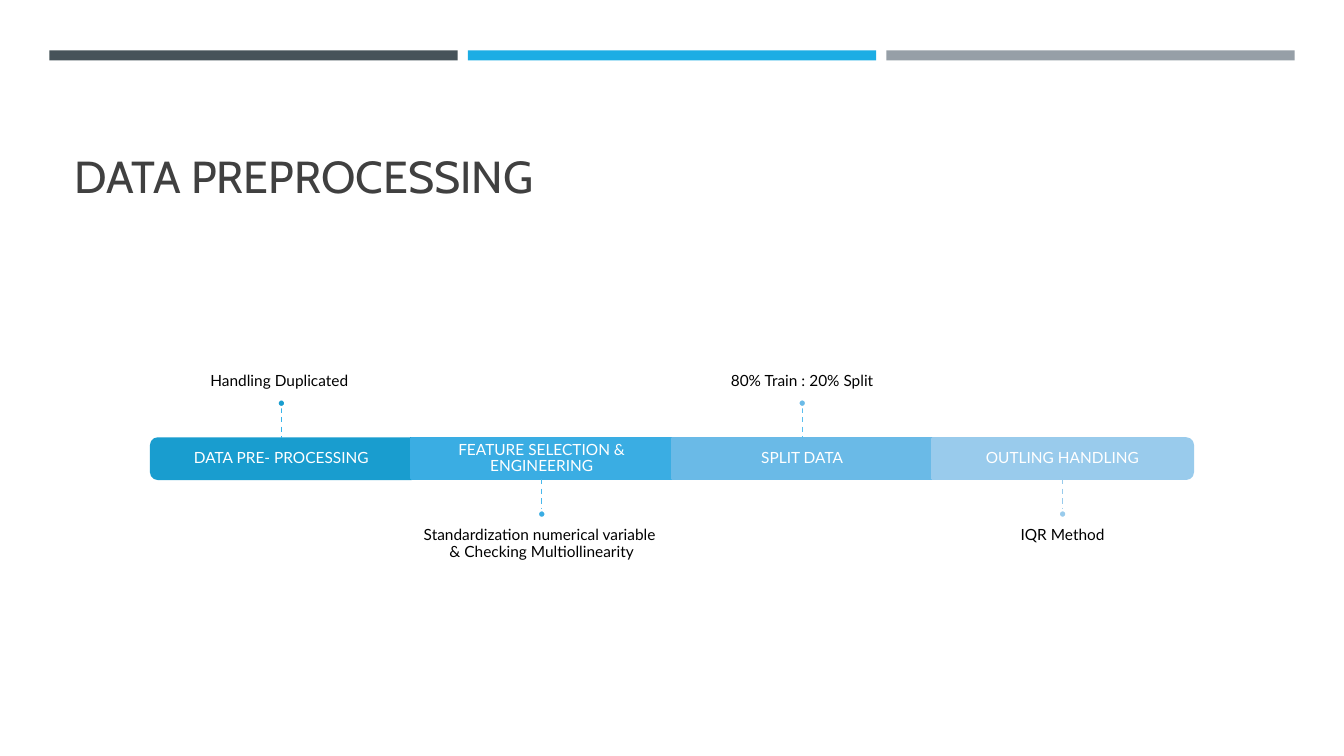
import pptx
import pptx.dml.color
import pptx.enum.dml
import pptx.enum.shapes
import pptx.enum.text
import pptx.oxml.ns
import pptx.util

SHAPES = pptx.enum.shapes.MSO_SHAPE
ANCHOR = pptx.enum.text.MSO_ANCHOR
ALIGN = pptx.enum.text.PP_ALIGN

SLIDE_WIDTH, SLIDE_HEIGHT = 13.33, 7.5

STRIPE_COLORS = ["465359", "1CADE4", "969FA7"]
STRIPE_LEFT, STRIPE_TOP = 0.49, 0.5
STRIPE_WIDTH, STRIPE_HEIGHT, STRIPE_GAP = 4.05, 0.1, 0.1

STEPS = [
    ("DATA PRE- PROCESSING", "Handling Duplicated ", "199DCF", "36B3E9"),
    ("FEATURE SELECTION & ENGINEERING",
     "Standardization numerical variable \v& Checking Multiollinearity", "3AADE3", "48B8EC"),
    ("SPLIT DATA", "80% Train : 20% Split", "6ABAE7", "5ABEEF"),
    ("OUTLING HANDLING", "IQR Method", "99CBEC", "98CBEC"),
]
BAR_WIDTH = SLIDE_WIDTH * 0.775
BAR_LEFT = (SLIDE_WIDTH - BAR_WIDTH) / 2
BAR_TOP, BAR_HEIGHT = SLIDE_HEIGHT * 0.58, 0.4
COLUMN = BAR_WIDTH / len(STEPS)
STEM, DOT = 0.31, 0.08
NOTE_WIDTH, NOTE_HEIGHT = COLUMN * 5 / 3, 1.39
INSET = 0.09


def inches(*lengths):
    return [pptx.util.Inches(length) for length in lengths]


def color(hex_string):
    return pptx.dml.color.RGBColor.from_string(hex_string)


def write(frame, text, size=11, font="Lato", ink="000000", align=ALIGN.CENTER,
          anchor=ANCHOR.MIDDLE, insets=(INSET, INSET, INSET, INSET)):
    frame.word_wrap = True
    frame.auto_size = pptx.enum.text.MSO_AUTO_SIZE.NONE
    frame.vertical_anchor = anchor
    (frame.margin_left, frame.margin_top,
     frame.margin_right, frame.margin_bottom) = inches(*insets)
    frame.text = text
    paragraph = frame.paragraphs[0]
    paragraph.alignment = align
    paragraph.line_spacing = 0.9
    for run in paragraph.runs:
        run.font.size = pptx.util.Pt(size)
        run.font.name = font
        run.font.color.rgb = color(ink)


def add_text(slide, text, left, top, width, height, **text_format):
    box = slide.shapes.add_textbox(*inches(left, top, width, height))
    write(box.text_frame, text, **text_format)


def add_block(slide, kind, left, top, width, height, fill, outline=None):
    shape = slide.shapes.add_shape(kind, *inches(left, top, width, height))
    shape.shadow.inherit = False
    shape.fill.solid()
    shape.fill.fore_color.rgb = color(fill)
    if outline:
        shape.line.color.rgb = color(outline)
        shape.line.width = pptx.util.Pt(1.75)
    else:
        shape.line.fill.background()
    return shape


def add_stem(slide, center, top, ink):
    stem = slide.shapes.add_connector(
        pptx.enum.shapes.MSO_CONNECTOR.STRAIGHT, *inches(center, top, center, top + STEM))
    stem.line.color.rgb = color(ink)
    stem.line.width = pptx.util.Pt(1)
    stem.line.dash_style = pptx.enum.dml.MSO_LINE.DASH
    properties = stem._element.spPr
    properties.append(properties.makeelement(pptx.oxml.ns.qn("a:effectLst"), {}))


def add_segment(slide, label, left, fill, rotation):
    if rotation is None:
        add_block(slide, SHAPES.RECTANGLE, left, BAR_TOP, COLUMN, BAR_HEIGHT, fill, fill)
    else:
        shift = (COLUMN - BAR_HEIGHT) / 2
        end = add_block(slide, SHAPES.ROUND_2_SAME_RECTANGLE, left + shift, BAR_TOP - shift,
                        BAR_HEIGHT, COLUMN, fill, fill)
        end.rotation = rotation
    add_text(slide, label, left, BAR_TOP, COLUMN, BAR_HEIGHT, ink="FFFFFF")


def add_note(slide, note, center, above, fill, stem_color):
    left = center - NOTE_WIDTH / 2
    if above:
        stem_top = BAR_TOP - STEM
        dot_top = stem_top - DOT
        add_text(slide, note, left, dot_top - NOTE_HEIGHT, NOTE_WIDTH, NOTE_HEIGHT,
                 anchor=ANCHOR.BOTTOM, insets=(0, 0, 0, INSET))
    else:
        stem_top = BAR_TOP + BAR_HEIGHT
        dot_top = stem_top + STEM
        add_text(slide, note, left, dot_top + DOT, NOTE_WIDTH, NOTE_HEIGHT,
                 anchor=ANCHOR.TOP, insets=(0, INSET, 0, 0))
    add_stem(slide, center, stem_top, stem_color)
    add_block(slide, SHAPES.OVAL, center - DOT / 2, dot_top, DOT, DOT, fill, "FFFFFF")


def add_title(slide, text):
    title = slide.shapes.title
    title.left, title.top, title.width, title.height = inches(0.64, 0.77, 12.06, 1.3)
    write(title.text_frame, text, size=32, font="Cabin", ink="404040", align=ALIGN.LEFT,
          anchor=ANCHOR.BOTTOM, insets=(0.1, 0.05, 0.1, 0.05))


def main():
    presentation = pptx.Presentation()
    presentation.slide_width, presentation.slide_height = inches(SLIDE_WIDTH, SLIDE_HEIGHT)
    slide = presentation.slides.add_slide(presentation.slide_layouts[5])

    for index, fill in enumerate(STRIPE_COLORS):
        left = STRIPE_LEFT + index * (STRIPE_WIDTH + STRIPE_GAP)
        add_block(slide, SHAPES.RECTANGLE, left, STRIPE_TOP, STRIPE_WIDTH, STRIPE_HEIGHT, fill)
    add_title(slide, "DATA PREPROCESSING")

    end_rotations = {0: 270, len(STEPS) - 1: 90}
    for index, (label, note, fill, stem_color) in enumerate(STEPS):
        left = BAR_LEFT + index * COLUMN
        add_segment(slide, label, left, fill, end_rotations.get(index))
        add_note(slide, note, left + COLUMN / 2, index % 2 == 0, fill, stem_color)

    presentation.save("out.pptx")


if __name__ == "__main__":
    main()
